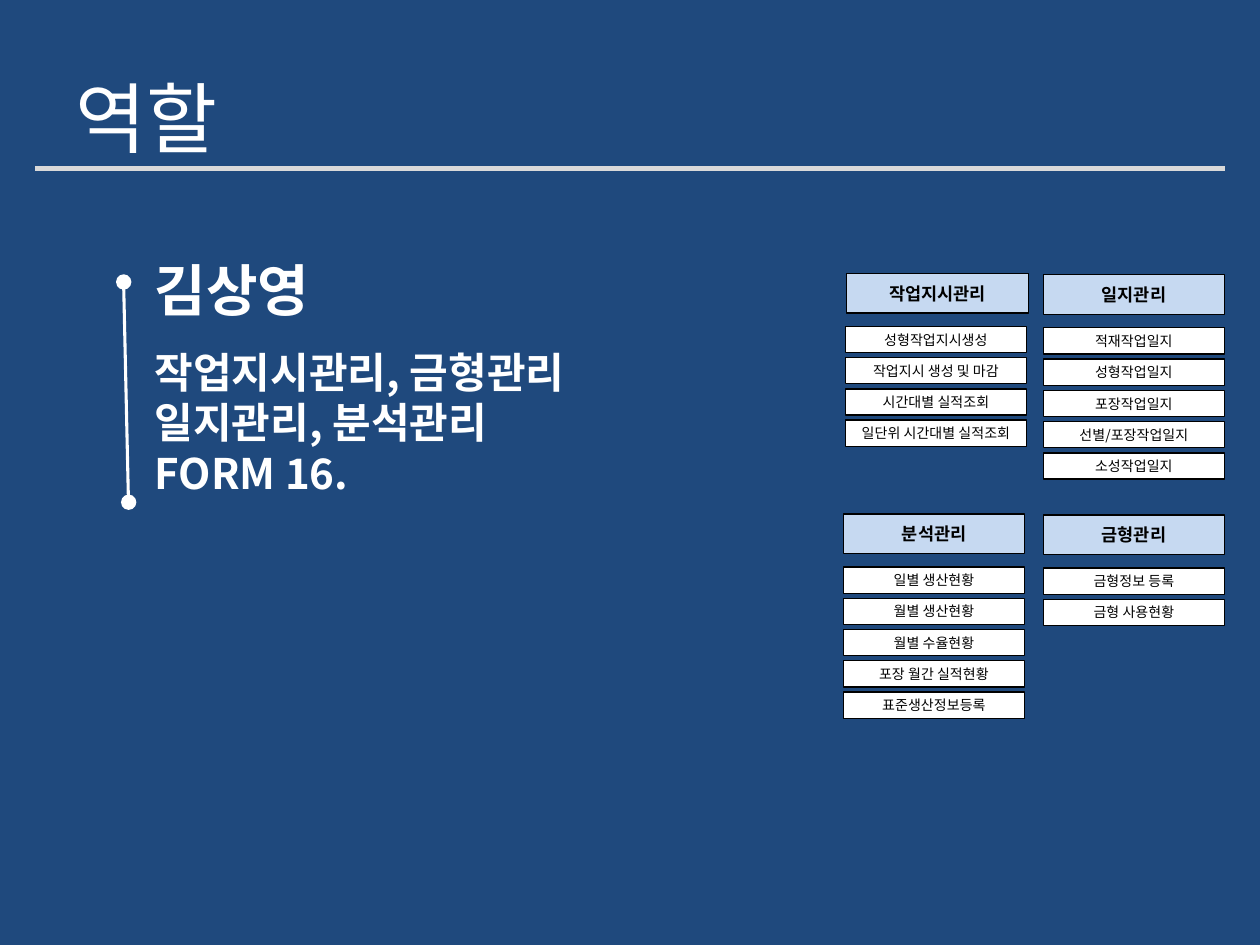
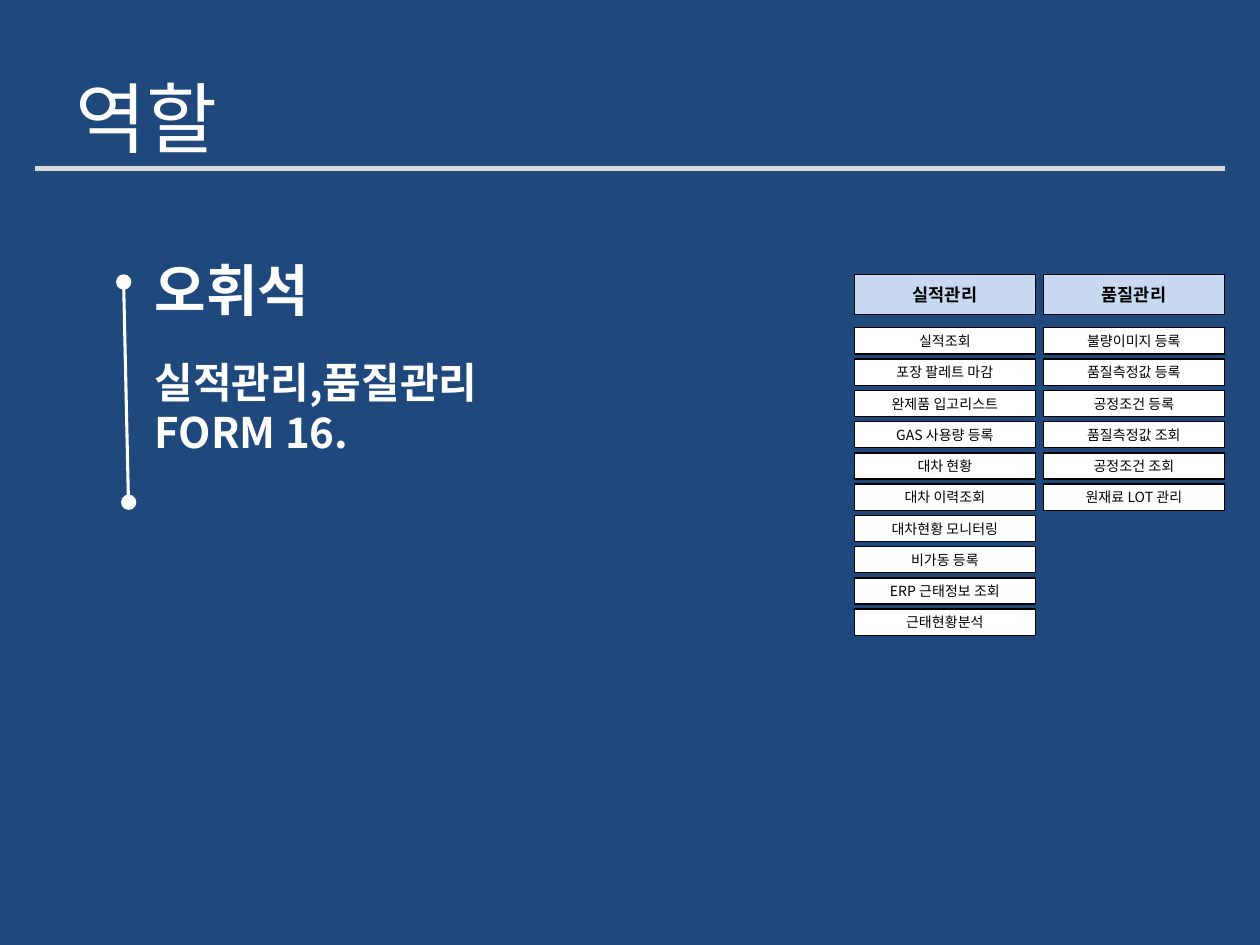
"""Role slides: each member's areas of work and the forms in each area."""
from dataclasses import dataclass

from lxml import etree
from pptx import Presentation
from pptx import util as u
from pptx.dml import color
from pptx.enum import shapes, text
from pptx.oxml import ns


@dataclass(frozen=True)
class Theme:
    """Colours, type sizes and line widths shared by the slides."""
    font: str = "Noto Sans CJK KR"
    background: str = "1F497D"
    light: str = "FFFFFF"
    dark: str = "000000"
    rule: str = "D9D9D9"
    header: str = "C6D9F1"
    title_size: float = 44
    name_size: float = 32
    duty_size: float = 24
    header_size: float = 10
    form_size: float = 8
    rule_width: float = 3
    bracket_width: float = 1.75
    border_width: float = 0.75


@dataclass(frozen=True)
class Box:
    """A rectangle in centimetres."""
    left: float
    top: float
    width: float
    height: float

    def lengths(self) -> tuple:
        """Return the four sides as slide lengths."""
        return tuple(u.Cm(v) for v in (self.left, self.top, self.width, self.height))


@dataclass(frozen=True)
class Area:
    """A headed column of forms."""
    heading: str
    forms: tuple[str, ...]
    left: float
    top: float = 5.54
    shift: float = 0  # offset of the forms from the heading's left edge


@dataclass(frozen=True)
class Role:
    """One member with duties and areas."""
    member: str
    duties: str
    duties_box: Box
    areas: tuple[Area, ...]


THEME = Theme()
TITLE_BOX = Box(1.27, 0.76, 22.86, 3.18)
NAME_BOX = Box(2.87, 5.03, 3.94, 1.63)
COLUMN_WIDTH, HEADER_HEIGHT, FORM_HEIGHT = 3.66, 0.8, 0.53
FIRST_FORM, FORM_PITCH = 1.07, 0.63
RIGHT_COLUMN = 21.03
DOT_SIZE = 0.31

ROLES = (
    Role("김상영", "작업지시관리, 금형관리\n일지관리, 분석관리\nFORM 16.",
         Box(2.87, 6.86, 9.58, 3.33), (
             Area("작업지시관리", ("성형작업지시생성", "작업지시 생성 및 마감",
                             "시간대별 실적조회", "일단위 시간대별 실적조회"),
                  17.07, 5.51, -0.03),
             Area("일지관리", ("적재작업일지", "성형작업일지", "포장작업일지",
                           "선별/포장작업일지", "소성작업일지"), RIGHT_COLUMN),
             Area("분석관리", ("일별 생산현황", "월별 생산현황", "월별 수율현황",
                           "포장 월간 실적현황", "표준생산정보등록"), 17, 10.36),
             Area("금형관리", ("금형정보 등록", "금형 사용현황"), RIGHT_COLUMN, 10.38))),
    Role("오휘석", "실적관리,품질관리\nFORM 16.",
         Box(2.87, 7.06, 7.57, 2.31), (
             Area("실적관리", ("실적조회", "포장 팔레트 마감", "완제품 입고리스트",
                           "GAS 사용량 등록", "대차 현황", "대차 이력조회",
                           "대차현황 모니터링", "비가동 등록", "ERP 근태정보 조회",
                           "근태현황분석"), 17.22),
             Area("품질관리", ("불량이미지 등록", "품질측정값 등록", "공정조건 등록",
                           "품질측정값 조회", "공정조건 조회", "원재료 LOT 관리"),
                  RIGHT_COLUMN))),
)


def rgb(value: str) -> color.RGBColor:
    """Turn a hex string into a colour."""
    return color.RGBColor.from_string(value)


def write(frame, content: str, size: float, ink: str, bold: bool = False,
          align=text.PP_ALIGN.LEFT) -> None:
    """Fill a text frame and format every run."""
    frame.text = content
    for paragraph in frame.paragraphs:
        paragraph.alignment = align
        for run in paragraph.runs:
            run.font.name = THEME.font
            run.font.size = u.Pt(size)
            run.font.bold = bold
            run.font.color.rgb = rgb(ink)
            east_asian = etree.SubElement(run.font._element, ns.qn("a:ea"))
            east_asian.set("typeface", THEME.font)


def add_label(slide, box: Box, content: str, size: float) -> None:
    """Add a bold text box that grows with its unwrapped lines."""
    frame = slide.shapes.add_textbox(*box.lengths()).text_frame
    frame.word_wrap = False
    frame.auto_size = text.MSO_AUTO_SIZE.SHAPE_TO_FIT_TEXT
    write(frame, content, size, THEME.light, bold=True)


def add_line(slide, start: tuple[float, float], end: tuple[float, float],
             ink: str, width: float) -> None:
    """Add a straight line without a shadow."""
    line = slide.shapes.add_connector(
        shapes.MSO_CONNECTOR.STRAIGHT, *(u.Cm(v) for v in start + end))
    line.line.color.rgb = rgb(ink)
    line.line.width = u.Pt(width)
    etree.SubElement(line._element.spPr, ns.qn("a:effectLst"))


def add_solid(slide, kind, box: Box, fill: str):
    """Add a flat filled shape without an outline."""
    solid = slide.shapes.add_shape(kind, *box.lengths())
    solid.shadow.inherit = False
    solid.fill.solid()
    solid.fill.fore_color.rgb = rgb(fill)
    solid.line.fill.background()
    return solid


def add_cell(slide, box: Box, content: str, fill: str, size: float,
             bold: bool = False) -> None:
    """Add an outlined rectangle with centred text."""
    cell = add_solid(slide, shapes.MSO_SHAPE.RECTANGLE, box, fill)
    cell.line.color.rgb = rgb(THEME.dark)
    cell.line.width = u.Pt(THEME.border_width)
    cell.text_frame.word_wrap = False
    cell.text_frame.vertical_anchor = text.MSO_ANCHOR.MIDDLE
    write(cell.text_frame, content, size, THEME.dark, bold, text.PP_ALIGN.CENTER)


def add_area(slide, area: Area) -> None:
    """Draw an area's heading and its evenly spaced forms."""
    add_cell(slide, Box(area.left, area.top, COLUMN_WIDTH, HEADER_HEIGHT),
             area.heading, THEME.header, THEME.header_size, bold=True)
    for row, form in enumerate(area.forms):
        top = area.top + FIRST_FORM + row * FORM_PITCH
        add_cell(slide, Box(area.left + area.shift, top, COLUMN_WIDTH, FORM_HEIGHT),
                 form, THEME.light, THEME.form_size)


def add_frame(slide) -> None:
    """Draw the background, title, rule and dotted bracket."""
    slide.background.fill.solid()
    slide.background.fill.fore_color.rgb = rgb(THEME.background)
    title = slide.shapes.add_textbox(*TITLE_BOX.lengths()).text_frame
    title.word_wrap = True
    title.vertical_anchor = text.MSO_ANCHOR.MIDDLE
    write(title, "역할", THEME.title_size, THEME.light)
    add_line(slide, (0.71, 3.4), (24.69, 3.4), THEME.rule, THEME.rule_width)
    add_line(slide, (2.49, 5.61), (2.59, 10.13), THEME.light, THEME.bracket_width)
    for left, top in ((2.34, 5.53), (2.44, 9.97)):
        add_solid(slide, shapes.MSO_SHAPE.OVAL,
                  Box(left, top, DOT_SIZE, DOT_SIZE), THEME.light)


def add_role(deck, role: Role) -> None:
    """Add the slide of one member."""
    slide = deck.slides.add_slide(deck.slide_layouts[6])
    add_frame(slide)
    add_label(slide, NAME_BOX, role.member, THEME.name_size)
    add_label(slide, role.duties_box, role.duties, THEME.duty_size)
    for area in role.areas:
        add_area(slide, area)


def main() -> None:
    """Build and save the deck."""
    deck = Presentation()
    deck.slide_width, deck.slide_height = u.Cm(25.4), u.Cm(19.05)
    for role in ROLES:
        add_role(deck, role)
    deck.save("out.pptx")


main()
